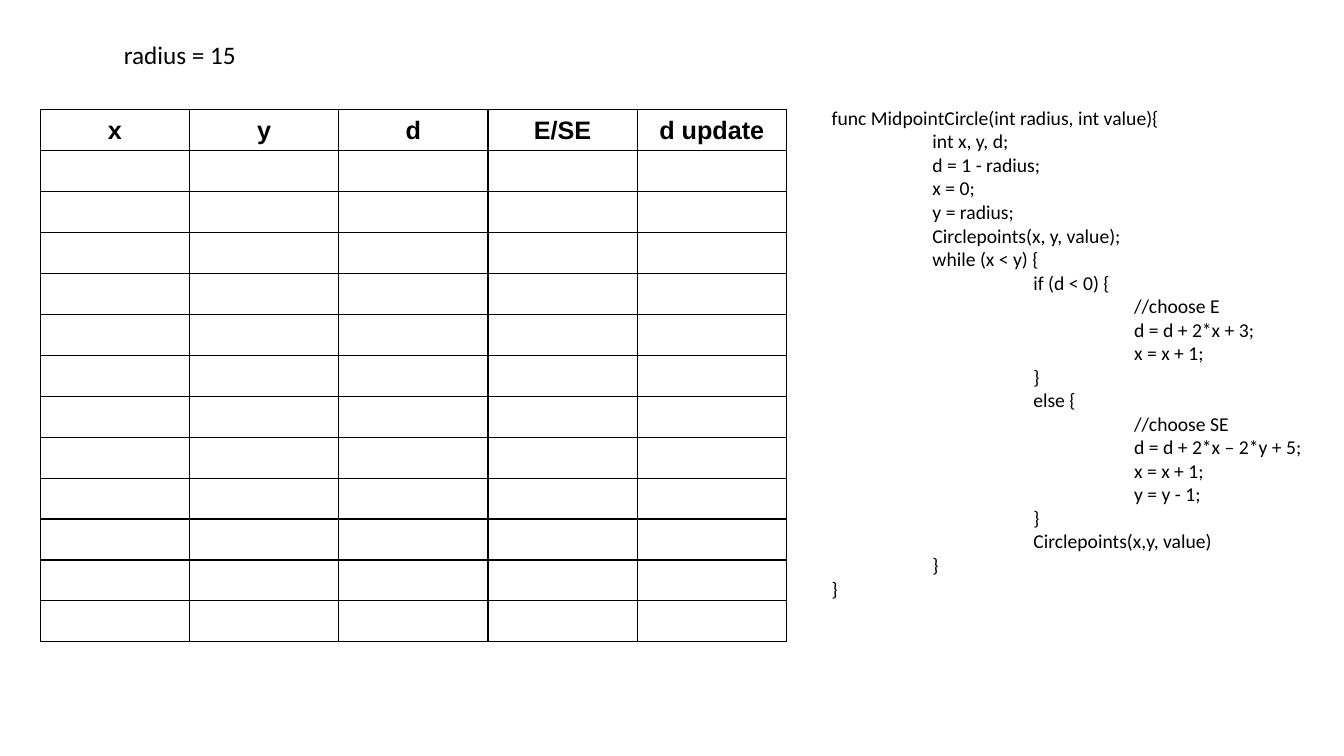
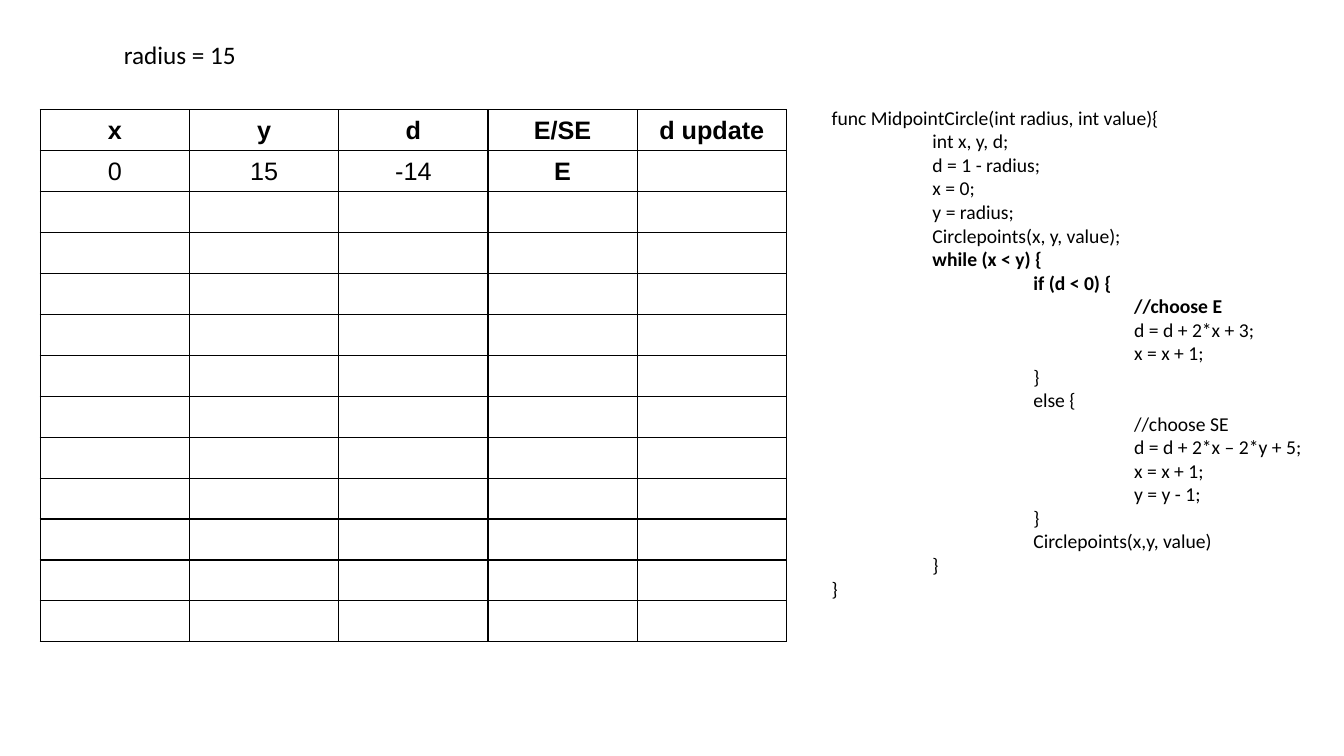
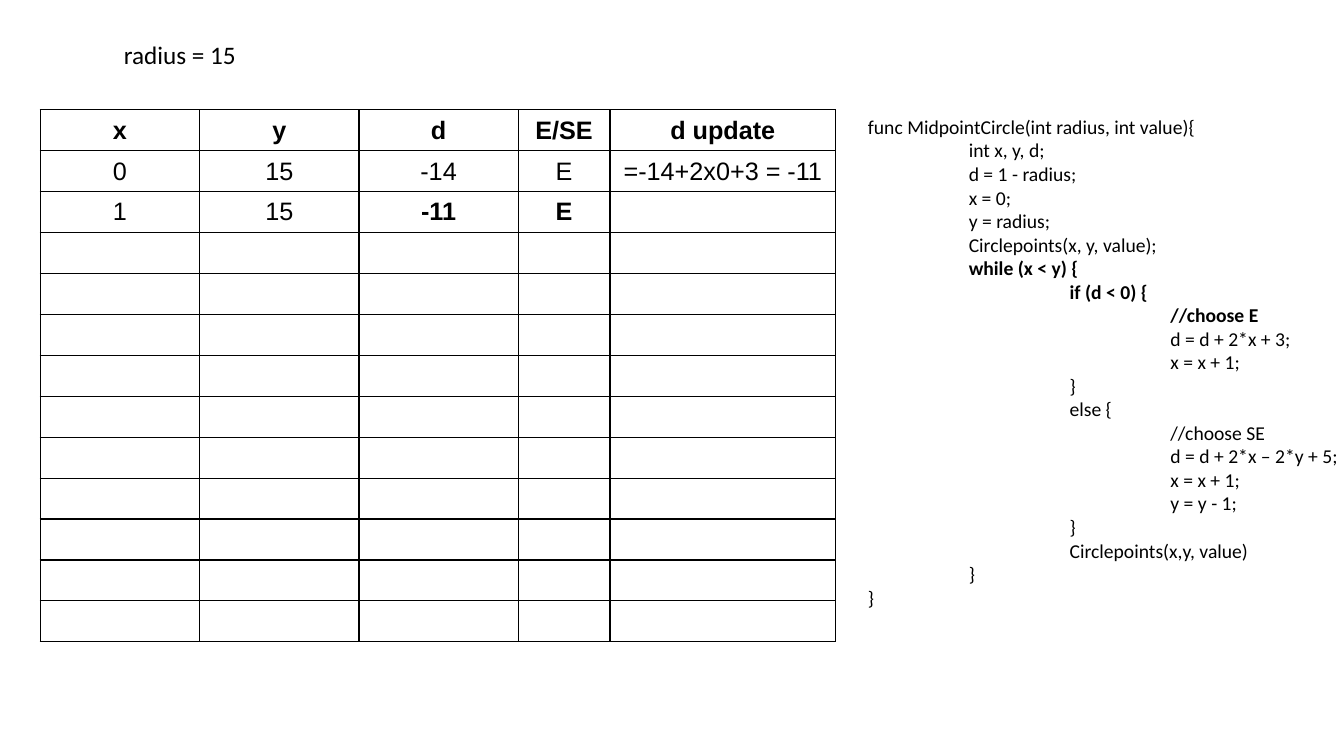
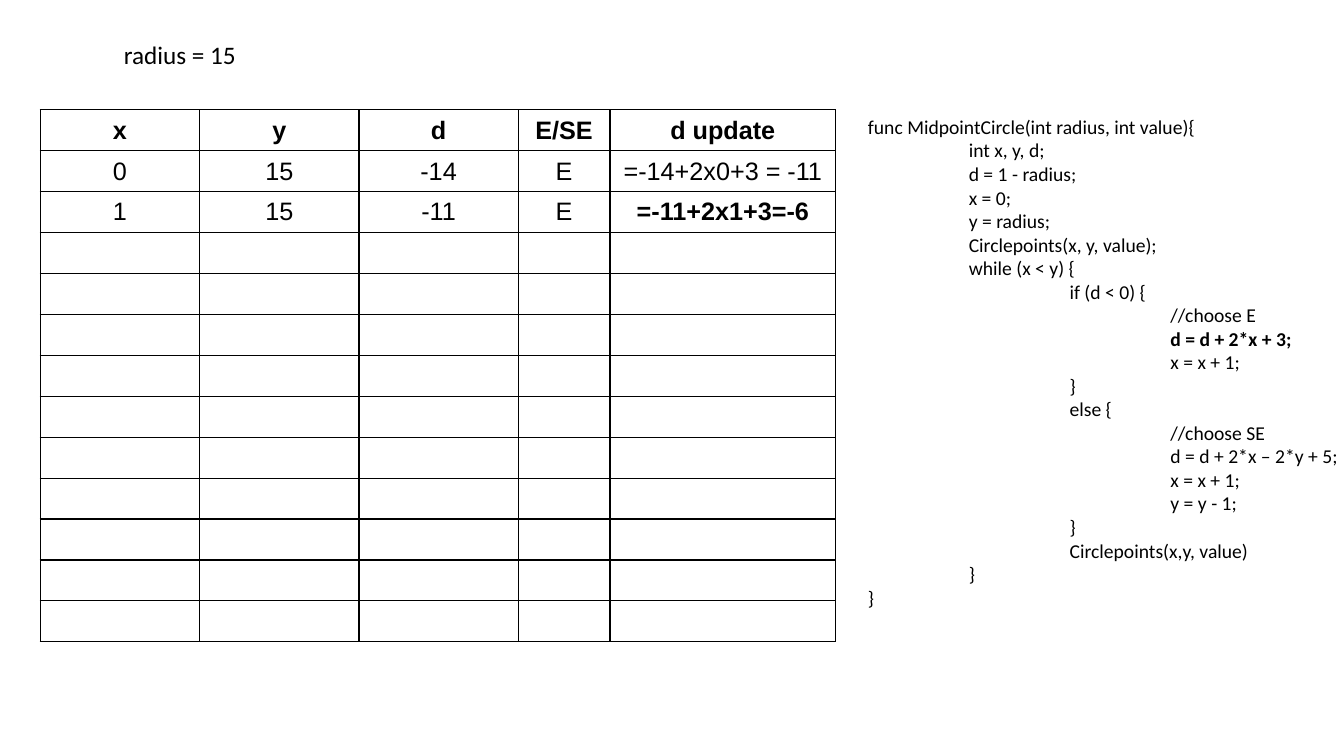
from lxml.etree import SubElement
from pptx import Presentation
from pptx.dml.color import RGBColor
from pptx.enum.text import MSO_ANCHOR as Anchor, MSO_AUTO_SIZE as AutoSize, PP_ALIGN as Align
from pptx.oxml.ns import qn
from pptx.util import Inches, Pt

# Shared style
INK = "000000"
CODE_FONT, TABLE_FONT = "Calibri", "Arial"
BORDER_WIDTH = Pt(1)
TAB_WIDTH = 1

# Shared content
HEADINGS = ["x", "y", "d", "E/SE", "d update"]
ROW_COUNT = 13
TABLE_LEFT, TABLE_TOP, TABLE_HEIGHT = 0.4, 1.09, 5.28
EVEN_COLUMNS = [1.48] * 5
WIDE_UPDATE_COLUMNS = [1.58, 1.58, 1.58, 0.91, 2.24]
CODE_SIZE = (5.12, 5.28)
RADIUS_BOX = (1.13, 0.34, 1.33, 0.4)

# Each line of the algorithm with its indent level
ALGORITHM = [
    (0, "func MidpointCircle(int radius, int value){"),
    (1, "int x, y, d;"),
    (1, "d = 1 - radius;"),
    (1, "x = 0;"),
    (1, "y = radius;"),
    (1, "Circlepoints(x, y, value);"),
    (1, "while (x < y) {"),
    (2, "if (d < 0) {"),
    (3, "//choose E"),
    (3, "d = d + 2*x + 3;"),
    (3, "x = x + 1;"),
    (2, "}"),
    (2, "else {"),
    (3, "//choose SE"),
    (3, "d = d + 2*x – 2*y + 5;"),
    (3, "x = x + 1;"),
    (3, "y = y - 1;"),
    (2, "}"),
    (2, "Circlepoints(x,y, value)"),
    (1, "}"),
    (0, "}"),
]
CHOOSE_E = {"while (x < y) {", "if (d < 0) {", "//choose E"}
UPDATE_D = {"d = d + 2*x + 3;"}

# One entry per slide; bold_cells are (row, column) below the headings
FIRST_STEP = ["0", "15", "-14", "E", "=-14+2x0+3 = -11"]
STEPS = [
    dict(columns=EVEN_COLUMNS, code_at=(8.15, 1), values=[],
         bold_cells=set(), bold_lines=set()),
    dict(columns=EVEN_COLUMNS, code_at=(8.15, 1), values=[FIRST_STEP[:4]],
         bold_cells={(0, 3)}, bold_lines=CHOOSE_E),
    dict(columns=WIDE_UPDATE_COLUMNS, code_at=(8.51, 1.09),
         values=[FIRST_STEP, ["1", "15", "-11", "E"]],
         bold_cells={(1, 2), (1, 3)}, bold_lines=CHOOSE_E),
    dict(columns=WIDE_UPDATE_COLUMNS, code_at=(8.51, 1.09),
         values=[FIRST_STEP, ["1", "15", "-11", "E", "=-11+2x1+3=-6"]],
         bold_cells={(1, 4)}, bold_lines=UPDATE_D),
]


def color(value):
    return RGBColor.from_string(value)


def write(paragraph, text, font=CODE_FONT, size=18, bold=False, align=Align.LEFT):
    paragraph.alignment = align
    run = paragraph.add_run()
    run.text = text
    run.font.name = font
    run.font.size = Pt(size)
    run.font.bold = bold
    run.font.color.rgb = color(INK)


def add_frame(slide, box, wrap=True):
    frame = slide.shapes.add_textbox(*map(Inches, box)).text_frame
    frame.word_wrap = wrap
    frame.auto_size = AutoSize.SHAPE_TO_FIT_TEXT
    return frame


def add_tab_stops(paragraph, count):
    stops = SubElement(paragraph._p.get_or_add_pPr(), qn("a:tabLst"))
    for number in range(1, count + 1):
        SubElement(stops, qn("a:tab"), pos=str(Inches(number * TAB_WIDTH)), algn="l")


def add_borders(cell):
    properties = cell._tc.get_or_add_tcPr()
    for side in ("a:lnL", "a:lnR", "a:lnT", "a:lnB"):
        line = SubElement(properties, qn(side), w=str(BORDER_WIDTH))
        fill = SubElement(line, qn("a:solidFill"))
        SubElement(fill, qn("a:srgbClr"), val=INK)


# Radius label above the table
def add_radius(slide, box):
    write(add_frame(slide, box, wrap=False).paragraphs[0], "radius = 15")


# Listing of the algorithm, with the active lines in bold
def add_code(slide, box, bold_lines):
    frame = add_frame(slide, box)
    for index, (level, line) in enumerate(ALGORITHM):
        paragraph = frame.add_paragraph() if index else frame.paragraphs[0]
        if level:
            add_tab_stops(paragraph, level)
        write(paragraph, "\t" * level + line, size=14, bold=line in bold_lines)


# Trace table, one row per step of the algorithm
def add_trace(slide, left, top, height, columns, values, bold_cells):
    table = slide.shapes.add_table(
        ROW_COUNT, len(columns), Inches(left), Inches(top),
        Inches(sum(columns)), Inches(height)).table
    table.first_row = table.horz_banding = False
    for column, width in zip(table.columns, columns):
        column.width = Inches(width)
    for cell in table.iter_cells():
        add_borders(cell)
        cell.fill.background()
        cell.vertical_anchor = Anchor.MIDDLE
    for row, texts in enumerate([HEADINGS, *values]):
        for column, text in enumerate(texts):
            bold = row == 0 or (row - 1, column) in bold_cells
            write(table.cell(row, column).text_frame.paragraphs[0], text,
                  font=TABLE_FONT, bold=bold, align=Align.CENTER)


def add_step(deck, columns, code_at, values, bold_cells, bold_lines):
    slide = deck.slides.add_slide(deck.slide_layouts[6])
    add_code(slide, code_at + CODE_SIZE, bold_lines)
    add_trace(slide, TABLE_LEFT, TABLE_TOP, TABLE_HEIGHT, columns, values, bold_cells)
    add_radius(slide, RADIUS_BOX)


def main():
    deck = Presentation()
    deck.slide_width, deck.slide_height = Inches(13.33), Inches(7.5)
    for step in STEPS:
        add_step(deck, **step)
    deck.save("out.pptx")


if __name__ == "__main__":
    main()
